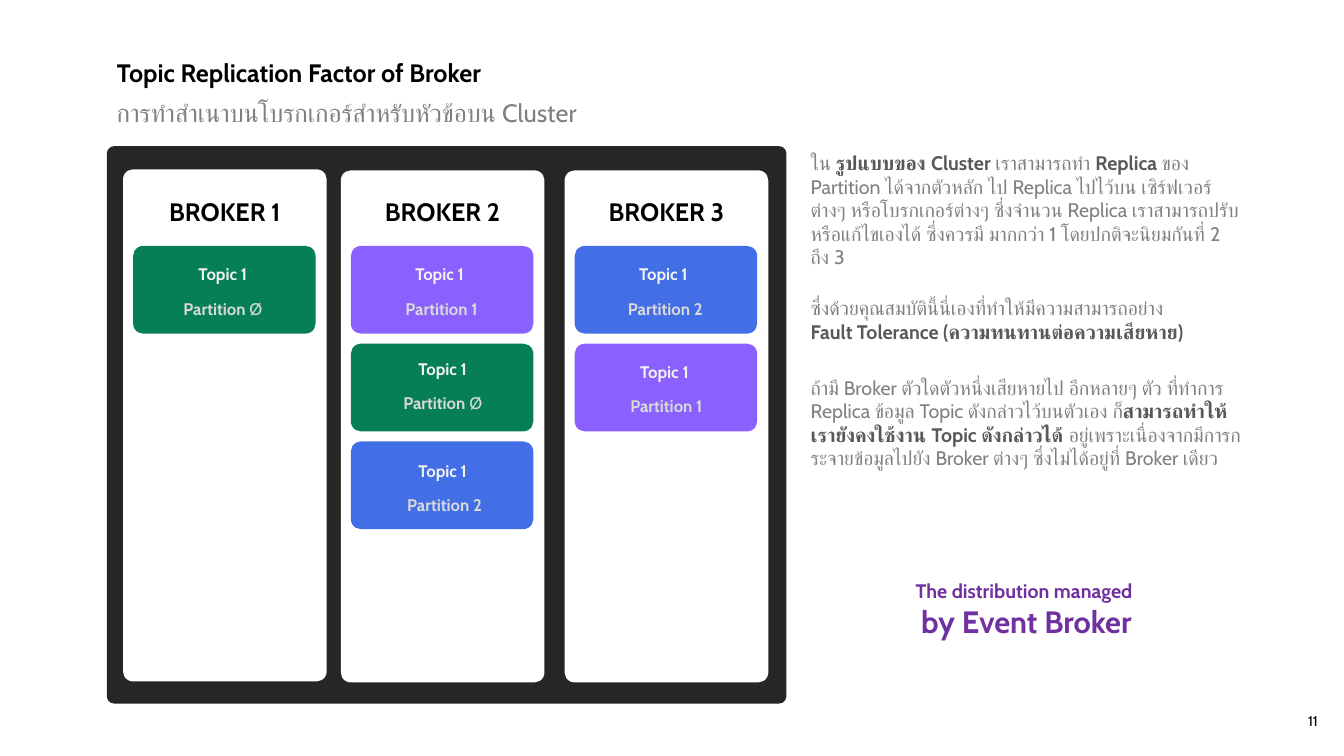
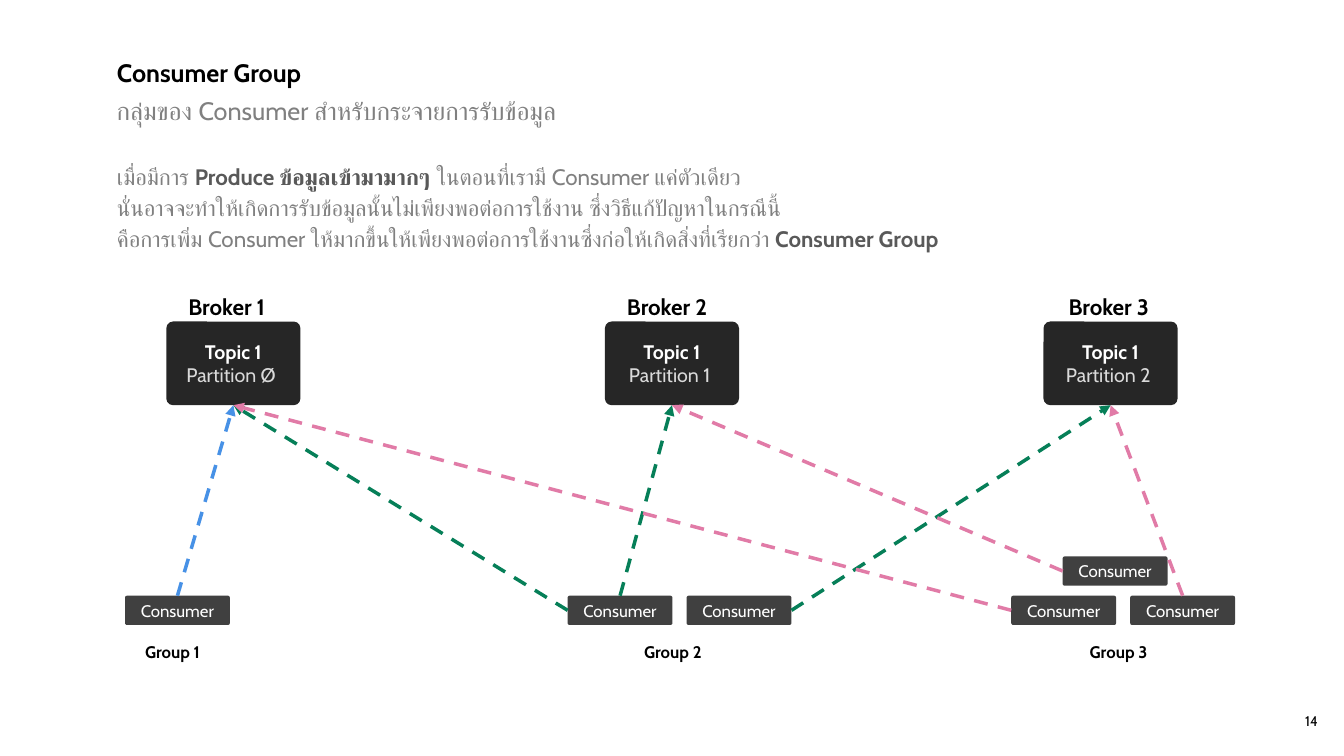
from pptx import Presentation
from pptx.util import Inches, Pt
from pptx.dml.color import RGBColor
from pptx.enum.dml import MSO_LINE
from pptx.enum.shapes import MSO_CONNECTOR, MSO_SHAPE
from pptx.enum.text import MSO_ANCHOR, MSO_AUTO_SIZE, PP_ALIGN
from pptx.oxml import parse_xml
from pptx.oxml.ns import nsdecls

FONT = "Cabin"
BLACK, DARK, CHARCOAL, WHITE = "000000", "262626", "404040", "FFFFFF"
GREY, STRONG, PALE, OFF_WHITE = "808080", "595959", "D9D9D9", "F2F2F2"
GREEN, VIOLET, BLUE = "067F58", "8A61FF", "436FE6"
SKY, PINK, PURPLE = "4791E6", "E17BA7", "7030A0"
LEFT, CENTER, RIGHT = PP_ALIGN.LEFT, PP_ALIGN.CENTER, PP_ALIGN.RIGHT
TOP_SIDE, LEFT_SIDE, BOTTOM_SIDE, RIGHT_SIDE = range(4)


def rgb(color):
    return RGBColor.from_string(color)


def fmt(size, color, bold=False):
    return {"name": FONT, "size": Pt(size), "color": color, "bold": bold}


def marked(text, size):
    """Split text at asterisks; every second part is emphasised."""
    styles = fmt(size, GREY), fmt(size, STRONG, True)
    return [(part, styles[i % 2]) for i, part in enumerate(text.split("*")) if part]


class Deck:
    def __init__(self):
        self.prs = Presentation()
        self.prs.slide_width, self.prs.slide_height = Inches(13.33), Inches(7.5)
        self.s = None

    def place(self, sp, x, y, w, h):
        sp.left, sp.top, sp.width, sp.height = (Inches(v) for v in (x, y, w, h))

    def set_text(self, sp, paragraphs, align=LEFT, anchor=MSO_ANCHOR.TOP):
        """Fill a shape with paragraphs of (space before, [(text, format)])."""
        tf = sp.text_frame
        frame = {"word_wrap": True, "auto_size": MSO_AUTO_SIZE.NONE,
                 "vertical_anchor": anchor}
        for key, value in frame.items():
            setattr(tf, key, value)
        for i, (before, runs) in enumerate(paragraphs):
            p = tf.add_paragraph() if i else tf.paragraphs[0]
            layout = {"alignment": align, "space_before": Pt(before),
                      "space_after": Pt(0)}
            for key, value in layout.items():
                setattr(p, key, value)
            for text, style in runs:
                r = p.add_run()
                r.text = text
                for key, value in style.items():
                    if key == "color":
                        r.font.color.rgb = rgb(value)
                    else:
                        setattr(r.font, key, value)

    def slide(self, title, subtitle, subtitle_y, number):
        self.s = self.prs.slides.add_slide(self.prs.slide_layouts[1])
        sp = self.s.shapes.title
        self.place(sp, 1.06, 0.52, 9, 0.4)
        self.set_text(sp, [(0, [(title, fmt(18, BLACK, True))])])
        self.label(1.06, subtitle_y, 9, 0.4, [(subtitle, fmt(18, GREY))])
        self.label(12.42, 6.95, 0.75, 0.4, [(number, fmt(10, BLACK))],
                   RIGHT, MSO_ANCHOR.MIDDLE)

    def body(self, x, y, w, h, size, paragraphs):
        sp = self.s.placeholders[1]
        self.place(sp, x, y, w, h)
        self.set_text(sp, [(before, marked(text, size)) for before, text in paragraphs])
        for p in sp.text_frame.paragraphs:
            pPr = p._p.get_or_add_pPr()
            pPr.set("marL", "0")
            pPr.set("indent", "0")
            pPr.append(parse_xml(f"<a:buNone {nsdecls('a')}/>"))

    def label(self, x, y, w, h, runs, align=LEFT, anchor=MSO_ANCHOR.TOP):
        sp = self.s.shapes.add_textbox(*(Inches(v) for v in (x, y, w, h)))
        self.set_text(sp, [(0, runs)], align, anchor)

    def box(self, x, y, w, h, color, radius, lines=()):
        sp = self.s.shapes.add_shape(MSO_SHAPE.ROUNDED_RECTANGLE,
                                     *(Inches(v) for v in (x, y, w, h)))
        sp.adjustments[0] = radius
        sp.shadow.inherit = False
        sp.fill.solid()
        sp.fill.fore_color.rgb = rgb(color)
        sp.line.fill.background()
        if lines:
            self.set_text(sp, [(0, [line]) for line in lines], CENTER, MSO_ANCHOR.MIDDLE)
        return sp

    def arrow(self, start, side, end, color):
        """Dashed arrow from one side of a box to the bottom of another."""
        c = self.s.shapes.add_connector(MSO_CONNECTOR.STRAIGHT, 0, 0, 0, 0)
        c.begin_connect(start, side)
        c.end_connect(end, BOTTOM_SIDE)
        c.line.color.rgb = rgb(color)
        for key, value in {"width": Pt(2.5), "dash_style": MSO_LINE.DASH}.items():
            setattr(c.line, key, value)
        c.line._get_or_add_ln().append(
            parse_xml(f'<a:tailEnd {nsdecls("a")} type="triangle"/>'))
        c._element.spPr.append(parse_xml(f"<a:effectLst {nsdecls('a')}/>"))


def replication_slide(d):
    d.slide("Topic Replication Factor of Broker",
            "การทำสำเนาบนโบรกเกอร์สำหรับหัวข้อบน Cluster", 0.92, "11")
    d.body(7.94, 1.45, 4.47, 3.57, 14, [
        (1.5, "ใน *รูปแบบของ Cluster *เราสามารถทำ *Replica* ของ Partition ได้จากตัวหลัก "
              "ไป Replica ไปไว้บน เซิร์ฟเวอร์ต่างๆ หรือโบรกเกอร์ต่างๆ ซึ่งจำนวน Replica "
              "เราสามารถปรับหรือแก้ไขเองได้ ซึ่งควรมี มากกว่า 1 โดยปกติจะนิยมกันที่ 2 ถึง 3"),
        (19.5, "ซึ่งด้วยคุณสมบัตินี้นี่เองที่ทำให้มีความสามารถอย่าง"),
        (0, "*Fault Tolerance (ความทนทานต่อความเสียหาย)"),
        (23, "ถ้ามี Broker ตัวใดตัวหนึ่งเสียหายไป อีกหลายๆ ตัว ที่ทำการ Replica ข้อมูล Topic "
             "ดังกล่าวไว้บนตัวเอง ก็*สามารถทำให้เรายังคงใช้งาน Topic ดังกล่าวได้ *"
             "อยู่เพราะเนื่องจากมีการกระจายข้อมูลไปยัง Broker ต่างๆ ซึ่งไม่ได้อยู่ที่ Broker เดียว"),
    ])

    # Cluster frame; each card is (partition, label offset x, label offset y)
    d.box(1.06, 1.45, 6.74, 5.53, DARK, 0.013)
    colors = {"Ø ": GREEN, "1": VIOLET, "2": BLUE}
    brokers = [
        (1.22, 1.68, [("Ø ", 0.12, 0.13)]),
        (3.38, 1.69, [("1", 0.11, 0.13), ("Ø ", 0.14, 0.1), ("2", 0.14, 0.14)]),
        (5.6, 1.69, [("2", 0.11, 0.13), ("1", 0.12, 0.13)]),
    ]
    for number, (x, y, cards) in enumerate(brokers, 1):
        d.box(x, y, 2.02, 5.08, WHITE, 0.049)
        d.label(x + 0.27, 1.9, 1.48, 0.4,
                [(f"BROKER {number}", fmt(18, BLACK, True))], CENTER)
        for row, (partition, dx, dy) in enumerate(cards):
            card_x, card_y = x + 0.1, 2.44 + row * 0.97
            d.box(card_x, card_y, 1.81, 0.87, colors[partition], 0.115)
            d.label(card_x + dx, card_y + dy, 1.54, 0.3,
                    [("Topic 1", fmt(12, OFF_WHITE, True))], CENTER)
            d.label(card_x + dx + 0.02, card_y + dy + 0.34, 1.54, 0.3,
                    [("Partition ", fmt(12, PALE, True)),
                     (partition, fmt(12, PALE, partition != "Ø "))], CENTER)

    # Closing statement
    for y, h, text, size in [(5.69, 0.34, "The distribution managed ", 14),
                             (5.93, 0.47, "by Event Broker", 22)]:
        d.label(8.77, y, 2.82, h, [(text, fmt(size, PURPLE, True))], CENTER)


def consumer_slide(d):
    d.slide("Consumer Group", "กลุ่มของ Consumer สำหรับกระจายการรับข้อมูล", 0.9, "14")
    d.body(1.06, 1.57, 9.3, 1.02, 16, [
        (1.5, "เมื่อมีการ *Produce ข้อมูลเข้ามามากๆ *ในตอนที่เรามี Consumer แค่ตัวเดียว"),
        (3, "นั่นอาจจะทำให้เกิดการรับข้อมูลนั้นไม่เพียงพอต่อการใช้งาน ซึ่งวิธีแก้ปัญหาในกรณีนี้"),
        (3, "คือการเพิ่ม Consumer ให้มากขึ้นให้เพียงพอต่อการใช้งานซึ่งก่อให้เกิดสิ่งที่เรียกว่า "
            "*Consumer Group"),
    ])

    # Brokers
    brokers = []
    for i, (partition, label_x) in enumerate([("Ø", 1.77), ("1", 6.12), ("2", 10.5)]):
        brokers.append(d.box(1.65 + i * 4.35, 3.19, 1.33, 0.83, DARK, 0.08, [
            ("Topic 1", fmt(14, WHITE, True)),
            (f"Partition {partition} ", fmt(14, PALE))]))
        d.label(label_x, 2.86, 1.3, 0.37,
                [(f"Broker {i + 1}", fmt(16, BLACK, True))])

    # Groups: label x, arrow colour, consumers as (x, y, [(side, broker)])
    groups = [
        (1.34, SKY, [(1.24, 5.91, [(TOP_SIDE, 0)])]),
        (6.29, GREEN, [(5.63, 5.91, [(LEFT_SIDE, 0), (TOP_SIDE, 1)]),
                       (6.81, 5.91, [(RIGHT_SIDE, 2)])]),
        (10.71, PINK, [(10.03, 5.91, [(LEFT_SIDE, 0)]),
                       (10.54, 5.52, [(LEFT_SIDE, 1)]),
                       (11.21, 5.91, [(TOP_SIDE, 2)])]),
    ]
    arrows = []
    for number, (label_x, color, consumers) in enumerate(groups, 1):
        d.label(label_x, 6.32, 1.1, 0.3,
                [(f"Group {number}", fmt(12, BLACK, True))])
        for x, y, links in consumers:
            sp = d.box(x, y, 1.04, 0.29, CHARCOAL, 0.067,
                       [("Consumer", fmt(12, WHITE))])
            arrows += [(sp, side, brokers[target], color) for side, target in links]

    # Arrows, drawn above every consumer
    for arrow in arrows:
        d.arrow(*arrow)


def main():
    d = Deck()
    replication_slide(d)
    consumer_slide(d)
    d.prs.save("out.pptx")


if __name__ == "__main__":
    main()
